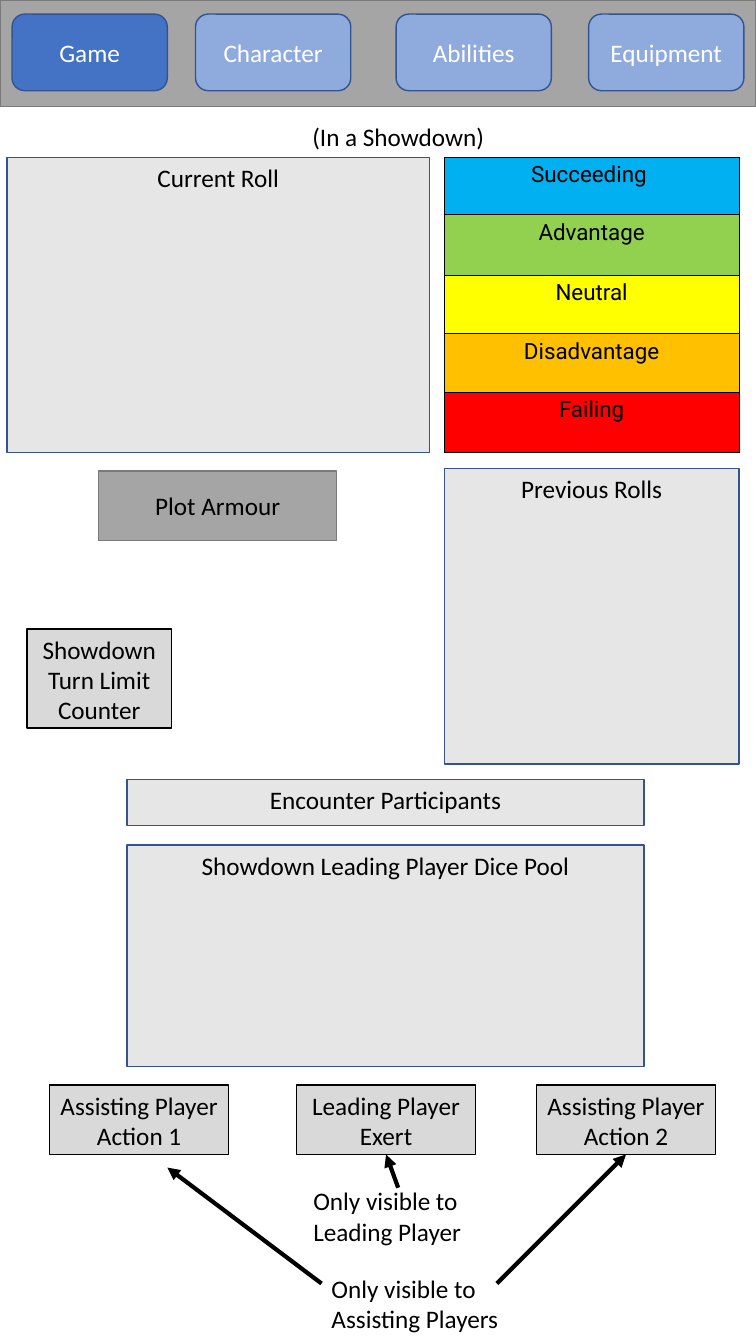
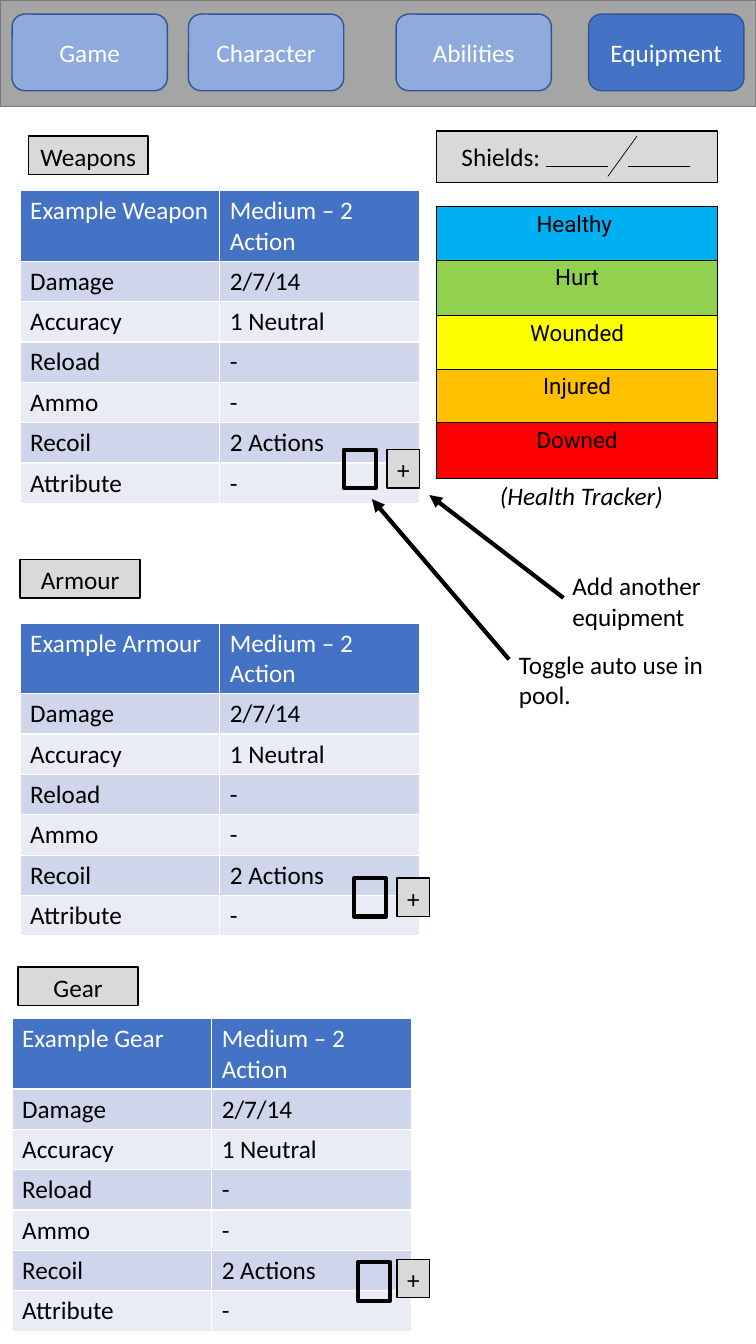
from lxml import etree
from pptx import Presentation
from pptx.dml.color import RGBColor
from pptx.enum.shapes import MSO_CONNECTOR, MSO_SHAPE
from pptx.enum.text import MSO_ANCHOR, MSO_AUTO_SIZE, PP_ALIGN
from pptx.oxml.ns import qn
from pptx.util import Inches, Pt

RECTANGLE, ROUNDED = MSO_SHAPE.RECTANGLE, MSO_SHAPE.ROUNDED_RECTANGLE
STRAIGHT = MSO_CONNECTOR.STRAIGHT
TOP, MIDDLE = MSO_ANCHOR.TOP, MSO_ANCHOR.MIDDLE
LEFT, CENTER = PP_ALIGN.LEFT, PP_ALIGN.CENTER
FIT_SHAPE = MSO_AUTO_SIZE.SHAPE_TO_FIT_TEXT
BLANK_LAYOUT = 6

BLACK, WHITE = "000000", "FFFFFF"
BLUE, LIGHT_BLUE, DARK_BLUE = "4472C4", "8FAADC", "325491"
GREY, DARK_GREY = "A5A5A5", "7A7A7A"
PANEL_GREY, BUTTON_GREY = "E7E6E6", "D9D9D9"
BAND_COLOURS = ["E9EBF5", "CFD5EA"]
SCALE_COLOURS = ["00B0F0", "92D050", "FFFF00", "FFC000", "FF0000"]

# Fill and outline of each kind of box
PANEL = (PANEL_GREY, DARK_BLUE)
BUTTON = (BUTTON_GREY, BLACK)
BAND = (GREY, DARK_GREY)

TABS = ["Game", "Character", "Abilities", "Equipment"]
TAB_SIZE = (1.54, 0.76)
TAB_TOP = 0.14

# Showdown slide: boxes are (left, top, width, height)
SHOWDOWN_TABS = [0.12, 1.94, 3.93, 5.84]
SHOWDOWN_PANELS = [
    ("Current Roll", (0.07, 1.56, 4.19, 2.93)),
    ("Previous Rolls", (4.41, 4.65, 2.92, 2.93)),
    ("Encounter Participants", (1.26, 7.73, 5.13, 0.46)),
    ("Showdown Leading Player Dice Pool", (1.26, 8.38, 5.13, 2.2)),
]
SHOWDOWN_BUTTONS = [
    ("Showdown Turn Limit Counter", (0.27, 6.24, 1.43, 0.98)),
    ("Assisting Player Action 1", (0.49, 10.76, 1.78, 0.69)),
    ("Leading Player Exert", (2.94, 10.76, 1.78, 0.69)),
    ("Assisting Player Action 2", (5.32, 10.76, 1.78, 0.69)),
]
SHOWDOWN_NOTES = [
    ("(In a Showdown)", (3, 1.15, 2.12, 0.4)),
    ("Only visible to Leading Player", (3.01, 11.71, 2.12, 0.71)),
    ("Only visible to Assisting Players", (3.19, 12.58, 2.12, 0.71)),
]
SHOWDOWN_ARROWS = [
    ((3.95, 11.78), (3.83, 11.45)),
    ((3.19, 12.73), (1.66, 11.58)),
    ((4.93, 12.73), (6.21, 11.45)),
]
ROLL_SCALE = [("Succeeding\u00a0", 0.57), ("Advantage", 0.6), ("Neutral", 0.58),
              ("Disadvantage", 0.58), ("Failing", 0.6)]

# Equipment slide
EQUIPMENT_TABS = [0.12, 1.87, 3.93, 5.84]
HEALTH_SCALE = [("Healthy\u00a0", 0.53), ("Hurt", 0.55), ("Wounded", 0.53),
                ("Injured", 0.53), ("Downed", 0.55)]
STATS = [("Damage", "2/7/14"), ("Accuracy", "1 Neutral"), ("Reload", "-"),
         ("Ammo", "-"), ("Recoil", "2 Actions"), ("Attribute", "-")]
# Label, example name, then corners of label, table, toggle and add button
EQUIPMENT = [
    ("Weapons", "Example Weapon", (0.28, 1.35), (0.2, 1.89), (3.41, 4.46), (3.84, 4.46)),
    ("Armour", "Example Armour", (0.2, 5.55), (0.2, 6.18), (3.51, 8.71), (3.94, 8.71)),
    ("Gear", "Example Gear", (0.18, 9.59), (0.12, 10.1), (3.55, 12.52), (3.94, 12.49)),
]
LABEL_SIZE, STATS_SIZE, CONTROL_SIZE = (1.19, 0.38), (3.96, 2.27), (0.32, 0.38)
EQUIPMENT_NOTES = [
    ("Shields:", (4.48, 1.35, 1.55, 0.4)),
    ("Add another equipment", (5.58, 5.61, 2.05, 0.71)),
    ("Toggle auto use in pool.", (5.05, 6.39, 2.05, 0.71)),
]
SHIELD_LINES = [
    ((5.42, 1.65), (6.03, 1.65)),
    ((6.32, 1.35), (6.03, 1.75)),
    ((6.23, 1.65), (6.85, 1.65)),
]
EQUIPMENT_ARROWS = [((5.59, 5.93), (4.26, 4.91)), ((5.05, 6.54), (3.69, 4.95))]


def rgb(colour):
    """Turn a hex string into a colour."""
    return RGBColor.from_string(colour)


def inches(values):
    """Convert a sequence of numbers to lengths."""
    return [Inches(value) for value in values]


def write(text_frame, text, colour=BLACK, align=LEFT, font="Calibri", size=18, italic=False):
    """Put one formatted paragraph into a text frame."""
    text_frame.text = text
    text_frame.word_wrap = True
    paragraph = text_frame.paragraphs[0]
    paragraph.alignment = align
    paragraph.font.name = font
    paragraph.font.size = Pt(size)
    paragraph.font.bold = False
    paragraph.font.italic = italic
    paragraph.font.color.rgb = rgb(colour)


def add_box(slide, box, style, text="", kind=RECTANGLE, anchor=TOP, colour=BLACK, weight=1):
    """Add a box with centred text; a fill of None leaves it open."""
    fill, outline = style
    shape = slide.shapes.add_shape(kind, *inches(box))
    shape.shadow.inherit = False
    if fill:
        shape.fill.solid()
        shape.fill.fore_color.rgb = rgb(fill)
    else:
        shape.fill.background()
    shape.line.color.rgb = rgb(outline)
    shape.line.width = Pt(weight)
    if text:
        write(shape.text_frame, text, colour, CENTER)
        shape.text_frame.vertical_anchor = anchor


def add_note(slide, text, box, italic=False):
    """Add a free-standing line of text."""
    text_frame = slide.shapes.add_textbox(*inches(box)).text_frame
    write(text_frame, text, italic=italic)
    text_frame.auto_size = FIT_SHAPE


def add_line(slide, start, end, weight, arrow=False):
    """Add a black line, with an arrowhead at its end on request."""
    connector = slide.shapes.add_connector(STRAIGHT, *inches(start + end))
    connector.line.color.rgb = rgb(BLACK)
    connector.line.width = Pt(weight)
    properties = connector.element.spPr
    if arrow:
        etree.SubElement(properties.find(qn("a:ln")), qn("a:tailEnd"), type="triangle")
    etree.SubElement(properties, qn("a:effectLst"))


def fill_cell(cell, colour):
    """Give a table cell a plain fill."""
    cell.fill.solid()
    cell.fill.fore_color.rgb = rgb(colour)


def border_cell(cell, colour, weight):
    """Draw all four edges of a cell, ahead of its fill."""
    properties = cell._tc.get_or_add_tcPr()
    for position, side in enumerate(("lnL", "lnR", "lnT", "lnB")):
        edge = etree.Element(qn(f"a:{side}"), w=str(Pt(weight)))
        fill = etree.SubElement(edge, qn("a:solidFill"))
        etree.SubElement(fill, qn("a:srgbClr"), val=colour)
        properties.insert(position, edge)


def add_scale(slide, levels, left, top, width):
    """Add a one-column table of coloured levels."""
    height = sum(row_height for _, row_height in levels)
    box = inches((left, top, width, height))
    table = slide.shapes.add_table(len(levels), 1, *box).table
    for row, (text, row_height), colour in zip(table.rows, levels, SCALE_COLOURS):
        row.height = Inches(row_height)
        cell = row.cells[0]
        cell.margin_left = cell.margin_right = Inches(0.07)
        fill_cell(cell, colour)
        border_cell(cell, BLACK, 0.5)
        write(cell.text_frame, text, align=CENTER, font="Roboto", size=16)


def add_stats(slide, name, corner):
    """Add the table of one piece of equipment."""
    rows = [(name, "Medium – 2 Action")] + STATS
    table = slide.shapes.add_table(len(rows), 2, *inches(corner + STATS_SIZE)).table
    for row_index, texts in enumerate(rows):
        header = row_index == 0
        for column_index, text in enumerate(texts):
            cell = table.cell(row_index, column_index)
            fill_cell(cell, BLUE if header else BAND_COLOURS[row_index % 2])
            write(cell.text_frame, text, WHITE if header else BLACK)


def add_screen(presentation, active_tab, tab_lefts):
    """Add a slide with the navigation band and return it."""
    slide = presentation.slides.add_slide(presentation.slide_layouts[BLANK_LAYOUT])
    add_box(slide, (0, 0, 7.5, 1.06), BAND)
    for tab, left in zip(TABS, tab_lefts):
        style = (BLUE if tab == active_tab else LIGHT_BLUE, DARK_BLUE)
        add_box(slide, (left, TAB_TOP) + TAB_SIZE, style, tab, ROUNDED, MIDDLE, WHITE)
    return slide


def add_annotations(slide, notes, arrows):
    """Add the notes of a slide and the arrows that go with them."""
    for text, box in notes:
        add_note(slide, text, box)
    for start, end in arrows:
        add_line(slide, start, end, 3, arrow=True)


def build_showdown(presentation):
    """Build the game screen during a showdown."""
    slide = add_screen(presentation, "Game", SHOWDOWN_TABS)
    for boxes, style in ((SHOWDOWN_PANELS, PANEL), (SHOWDOWN_BUTTONS, BUTTON)):
        for text, box in boxes:
            add_box(slide, box, style, text)
    add_box(slide, (0.98, 4.67, 2.36, 0.69), BAND, "Plot Armour", anchor=MIDDLE)
    add_scale(slide, ROLL_SCALE, 4.41, 1.56, 2.92)
    add_annotations(slide, SHOWDOWN_NOTES, SHOWDOWN_ARROWS)


def build_equipment(presentation):
    """Build the equipment screen."""
    slide = add_screen(presentation, "Equipment", EQUIPMENT_TABS)
    add_box(slide, (4.33, 1.3, 2.79, 0.51), BUTTON)
    for start, end in SHIELD_LINES:
        add_line(slide, start, end, 0.5)
    add_scale(slide, HEALTH_SCALE, 4.33, 2.05, 2.79)
    add_note(slide, "(Health Tracker)", (4.86, 4.71, 2.26, 0.4), italic=True)
    for label, name, label_corner, table_corner, toggle_corner, add_corner in EQUIPMENT:
        add_box(slide, label_corner + LABEL_SIZE, BUTTON, label)
        add_stats(slide, name, table_corner)
        add_box(slide, toggle_corner + CONTROL_SIZE, (None, BLACK), weight=3)
        add_box(slide, add_corner + CONTROL_SIZE, BUTTON, "+")
    add_annotations(slide, EQUIPMENT_NOTES, EQUIPMENT_ARROWS)


presentation = Presentation()
presentation.slide_width = Inches(7.5)
presentation.slide_height = Inches(13.33)
build_showdown(presentation)
build_equipment(presentation)
presentation.save("out.pptx")
